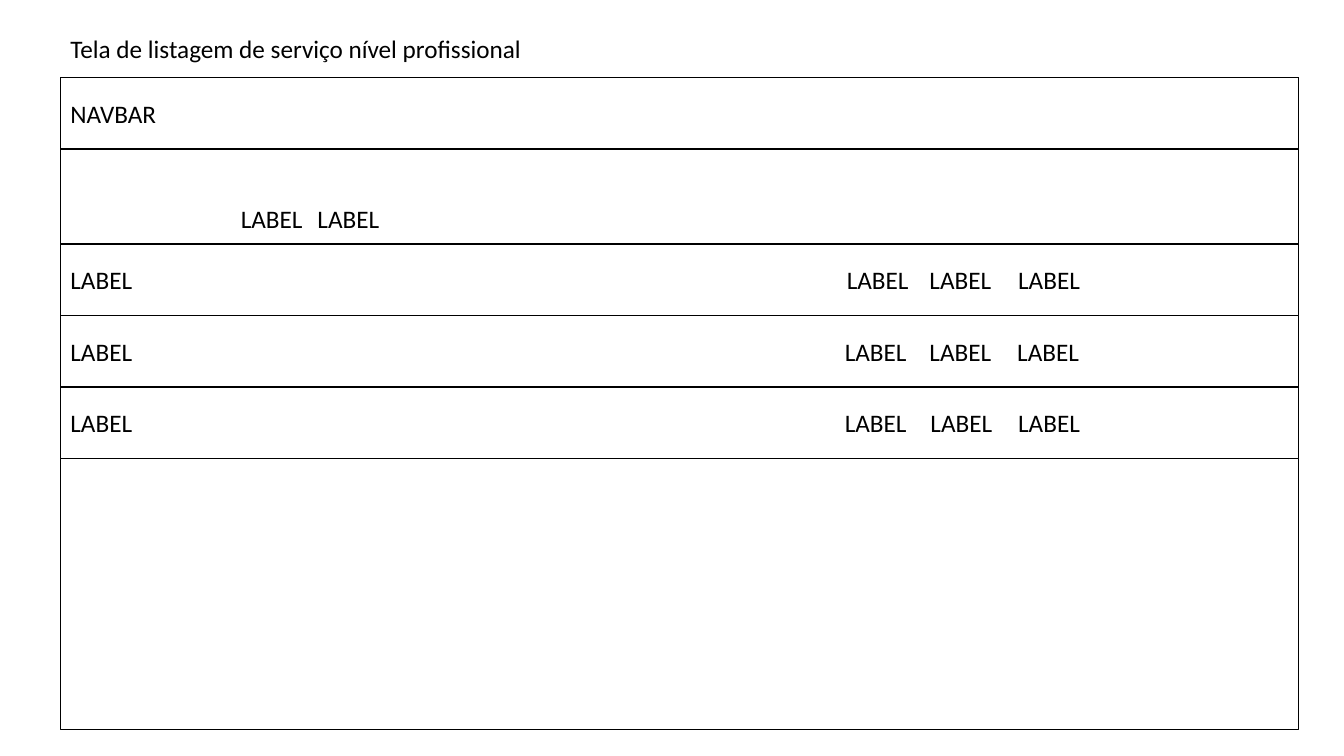
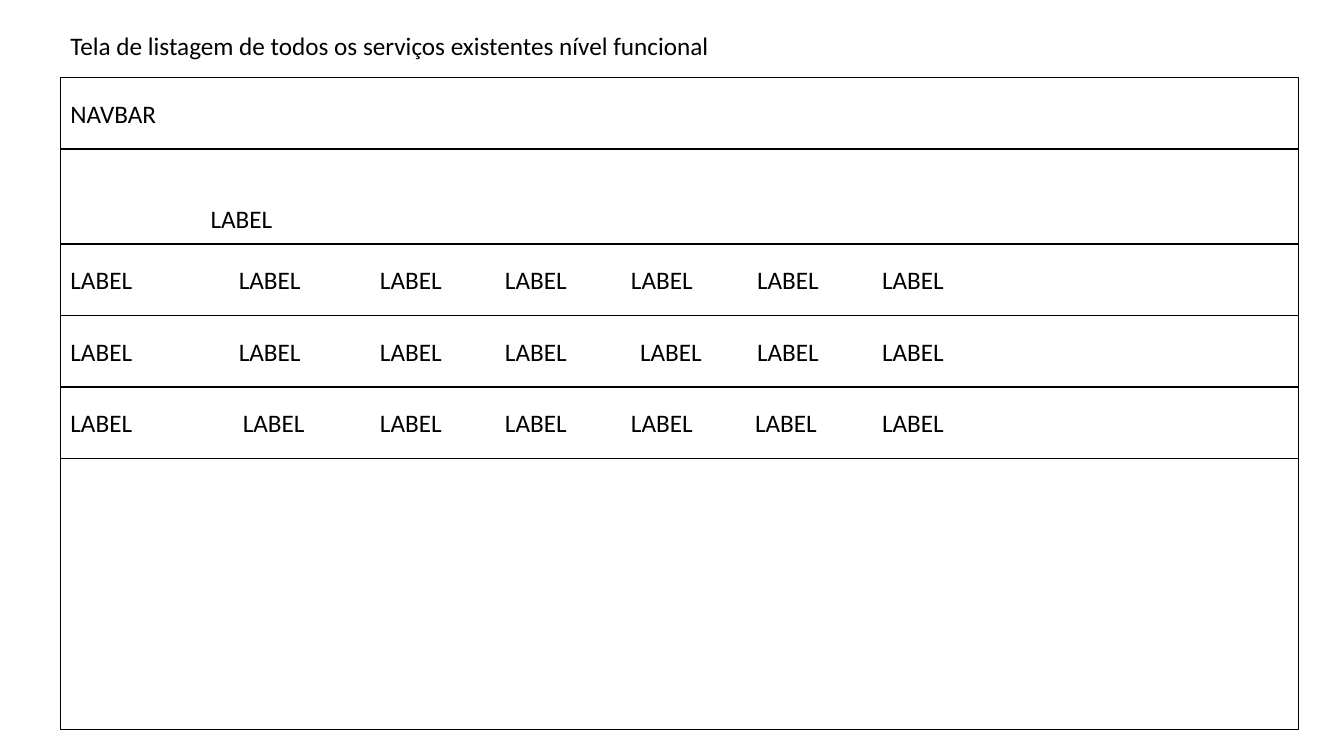
"""Build two wireframe slides for service listing screens."""
import dataclasses

import pptx
import pptx.dml.color
import pptx.enum.shapes
import pptx.enum.text
import pptx.shapes.autoshape
import pptx.slide
import pptx.util

Inches = pptx.util.Inches


@dataclasses.dataclass(frozen=True)
class Theme:
    ink: pptx.dml.color.RGBColor = pptx.dml.color.RGBColor(0, 0, 0)
    paper: pptx.dml.color.RGBColor = pptx.dml.color.RGBColor(255, 255, 255)
    font: str = "Calibri"
    text_size: pptx.util.Pt = pptx.util.Pt(18)
    line_width: pptx.util.Pt = pptx.util.Pt(1)


@dataclasses.dataclass(frozen=True)
class Screen:
    title: str
    title_top: float
    title_width: float
    label_width: float
    header_lefts: tuple[float, ...]
    row_lefts: tuple[tuple[float, ...], ...]


THEME = Theme()
FRAME_LEFT, FRAME_TOP, FRAME_WIDTH, FRAME_HEIGHT = 0.6, 0.77, 12.28, 6.47
ROWS_TOP, ROW_HEIGHT = 2.42, 0.71
HEADER_TOP, LABEL_HEIGHT = 1.97, 0.4

SCREENS = (
    Screen(
        "Tela de listagem de serviço nível profissional",
        0.28, 4.81, 1.19,
        (2.29, 3.05),
        ((8.3, 9.12, 10), (8.28, 9.12, 9.99), (8.28, 9.13, 10)),
    ),
    Screen(
        "Tela de listagem de todos os serviços existentes nível funcional",
        0.25, 6.55, 1.25,
        (1.99,),
        (
            (2.27, 3.67, 4.91, 6.16, 7.41, 8.65),
            (2.27, 3.67, 4.91, 6.25, 7.41, 8.65),
            (2.31, 3.67, 4.91, 6.16, 7.39, 8.65),
        ),
    ),
)


def write_text(
    shape: pptx.shapes.autoshape.Shape,
    text: str,
    *,
    anchor: pptx.enum.text.MSO_ANCHOR = pptx.enum.text.MSO_ANCHOR.TOP,
    auto_size: pptx.enum.text.MSO_AUTO_SIZE = pptx.enum.text.MSO_AUTO_SIZE.NONE,
) -> None:
    frame = shape.text_frame
    frame.word_wrap = True
    frame.auto_size = auto_size
    frame.vertical_anchor = anchor
    paragraph = frame.paragraphs[0]
    paragraph.alignment = pptx.enum.text.PP_ALIGN.LEFT
    run = paragraph.add_run()
    run.text = text
    run.font.name = THEME.font
    run.font.size = THEME.text_size
    run.font.color.rgb = THEME.ink


def add_panel(slide: pptx.slide.Slide, top: float, height: float, text: str = "") -> None:
    shape = slide.shapes.add_shape(
        pptx.enum.shapes.MSO_SHAPE.RECTANGLE,
        Inches(FRAME_LEFT), Inches(top), Inches(FRAME_WIDTH), Inches(height),
    )
    shape.shadow.inherit = False
    shape.fill.solid()
    shape.fill.fore_color.rgb = THEME.paper
    shape.line.color.rgb = THEME.ink
    shape.line.width = THEME.line_width
    if text:
        write_text(shape, text, anchor=pptx.enum.text.MSO_ANCHOR.MIDDLE)


def add_label(
    slide: pptx.slide.Slide, left: float, top: float, width: float, text: str = "LABEL"
) -> None:
    shape = slide.shapes.add_textbox(
        Inches(left), Inches(top), Inches(width), Inches(LABEL_HEIGHT)
    )
    write_text(shape, text, auto_size=pptx.enum.text.MSO_AUTO_SIZE.SHAPE_TO_FIT_TEXT)


def draw_screen(slide: pptx.slide.Slide, screen: Screen) -> None:
    add_panel(slide, FRAME_TOP, FRAME_HEIGHT)
    add_panel(slide, FRAME_TOP, ROW_HEIGHT, "NAVBAR")
    for left in screen.header_lefts:
        add_label(slide, left, HEADER_TOP, screen.label_width)
    for index, lefts in enumerate(screen.row_lefts):
        row_top = ROWS_TOP + index * ROW_HEIGHT
        add_panel(slide, row_top, ROW_HEIGHT, "LABEL")
        label_top = row_top + (ROW_HEIGHT - LABEL_HEIGHT) / 2
        for left in lefts:
            add_label(slide, left, label_top, screen.label_width)
    add_label(slide, FRAME_LEFT, screen.title_top, screen.title_width, screen.title)


def main() -> None:
    presentation = pptx.Presentation()
    presentation.slide_width = Inches(13.33)
    presentation.slide_height = Inches(7.5)
    for screen in SCREENS:
        draw_screen(presentation.slides.add_slide(presentation.slide_layouts[6]), screen)
    presentation.save("out.pptx")


if __name__ == "__main__":
    main()
